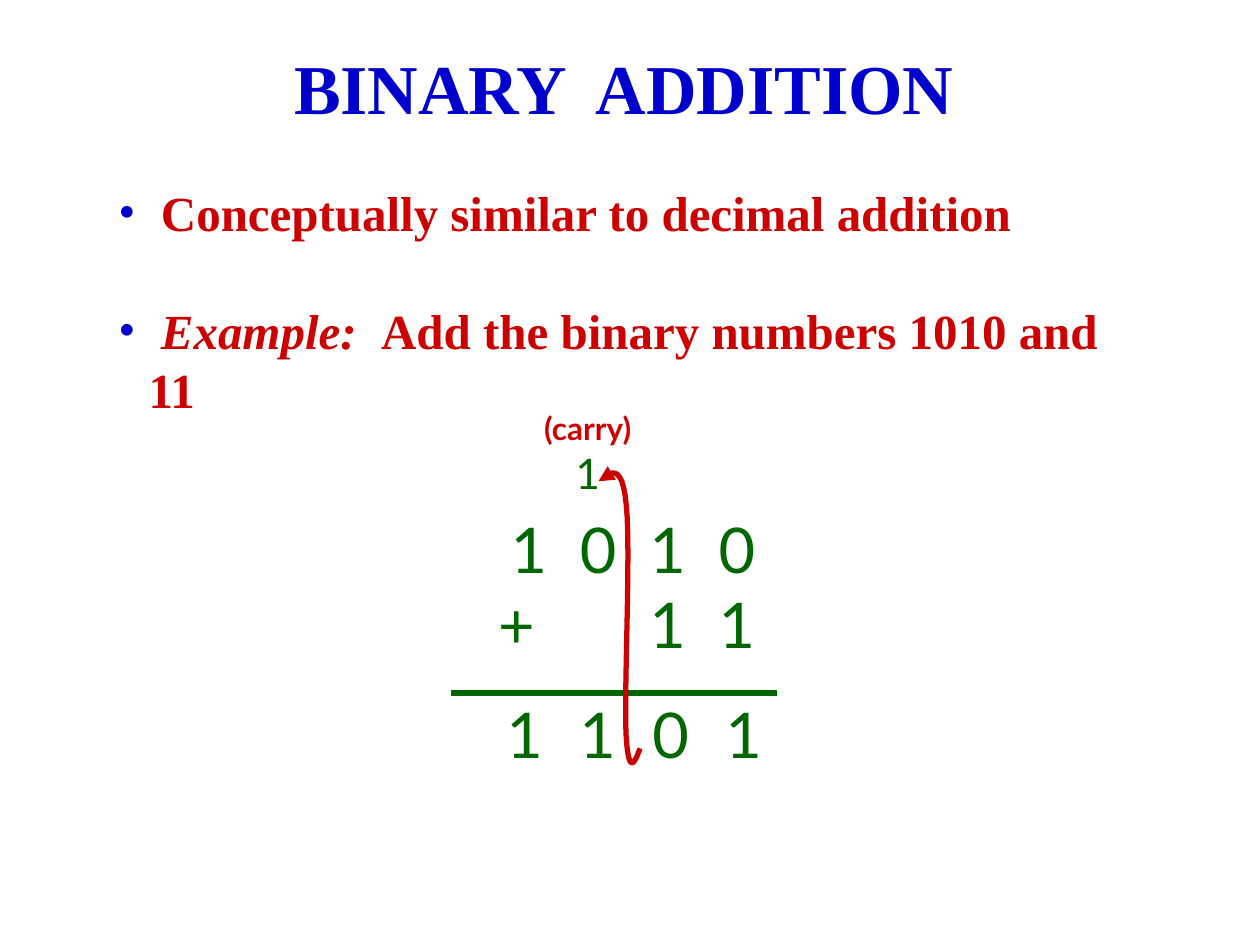
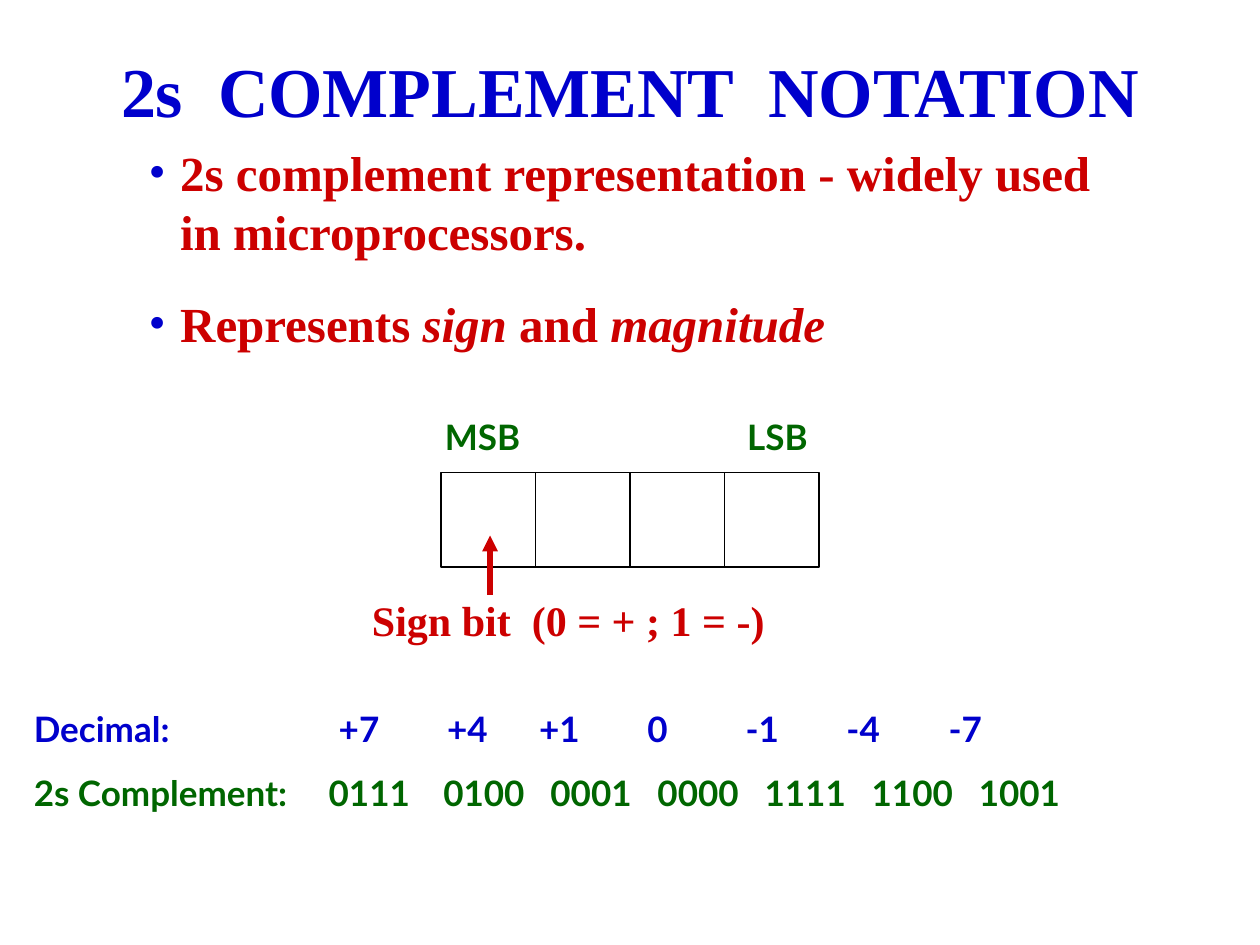
from dataclasses import dataclass

from lxml.etree import SubElement
from pptx import Presentation
from pptx.dml.color import RGBColor
from pptx.enum.shapes import MSO_CONNECTOR as Connector, MSO_SHAPE as Shape
from pptx.enum.text import MSO_ANCHOR as Anchor, MSO_AUTO_SIZE as AutoSize, PP_ALIGN as Align
from pptx.oxml.ns import qn
from pptx.util import Inches, Pt


@dataclass(frozen=True)
class Theme:
    blue: str = "0000CC"
    red: str = "CC0000"
    green: str = "006600"
    black: str = "000000"
    serif: str = "Times New Roman"
    sans: str = "Lato"
    title: int = 40
    digits: int = 36
    body: int = 28
    note: int = 24
    label: int = 20
    caption: int = 18
    body_line: float = 33.6
    thick: float = 3


THEME = Theme()
TITLE = dict(size=THEME.title, name=THEME.serif, color=THEME.blue, bold=True)
BODY = dict(size=THEME.body, name=THEME.serif, color=THEME.red, bold=True)
BODY_ITALIC = dict(BODY, italic=True)
DIGITS = dict(size=THEME.digits, name=THEME.sans, color=THEME.green, bold=False)
CARRY = dict(DIGITS, size=THEME.note)
CAPTION = dict(size=THEME.caption, name=THEME.sans, color=THEME.red, bold=True)
LABEL = dict(size=THEME.label, name=THEME.sans, color=THEME.green, bold=True)
DECIMAL = dict(LABEL, color=THEME.blue)
NOTE = dict(BODY, size=THEME.note)


def set_attributes(target, **values):
    for name, value in values.items():
        setattr(target, name, value)


def add_run(paragraph, text, style):
    run = paragraph.add_run()
    run.text = text
    values = dict(style, size=Pt(style["size"]))
    run.font.color.rgb = RGBColor.from_string(values.pop("color"))
    set_attributes(run.font, **values)


def fill_text(shape, box, paragraphs, **paragraph_format):
    """Place a text shape and write paragraphs, each a list of (text, style) runs."""
    left, top, width, height = map(Inches, box)
    set_attributes(shape, left=left, top=top, width=width, height=height)
    frame = shape.text_frame
    set_attributes(frame, word_wrap=True, auto_size=AutoSize.NONE, vertical_anchor=Anchor.TOP)
    for index, runs in enumerate(paragraphs):
        paragraph = frame.add_paragraph() if index else frame.paragraphs[0]
        set_attributes(paragraph, **paragraph_format)
        for text, style in runs:
            add_run(paragraph, text, style)
    return frame.paragraphs


def add_text(slide, box, paragraphs, alignment=Align.CENTER):
    shape = slide.shapes.add_textbox(0, 0, 0, 0)
    return fill_text(shape, box, paragraphs, alignment=alignment)


def add_title(slide, box, text):
    fill_text(slide.shapes.title, box, [[(text, TITLE)]], alignment=Align.CENTER)


def add_bullets(slide, box, paragraphs, indent, gap):
    bullets = fill_text(
        slide.placeholders[1], box, paragraphs, alignment=Align.LEFT,
        line_spacing=Pt(THEME.body_line), space_before=Pt(0), space_after=Pt(gap))
    for paragraph in bullets:
        properties = paragraph._p.get_or_add_pPr()
        properties.set("marL", str(Inches(indent)))
        properties.set("indent", str(-Inches(indent)))
        color = SubElement(properties, qn("a:buClr"))
        SubElement(color, qn("a:srgbClr"), val=THEME.blue)
        SubElement(properties, qn("a:buFont"), typeface=THEME.serif)
        SubElement(properties, qn("a:buChar"), char="•")


def set_tabs(paragraph, positions, alignment):
    tabs = SubElement(paragraph._p.get_or_add_pPr(), qn("a:tabLst"))
    for position in positions:
        SubElement(tabs, qn("a:tab"), pos=str(Inches(position)), algn=alignment)


def style_line(shape, color, width, arrow=False):
    shape.line.color.rgb = RGBColor.from_string(color)
    shape.line.width = Pt(width)
    if arrow:
        SubElement(shape._element.spPr.find(qn("a:ln")), qn("a:tailEnd"), type="triangle")


def add_line(slide, start, end, color, width, arrow=False):
    points = map(Inches, (*start, *end))
    connector = slide.shapes.add_connector(Connector.STRAIGHT, *points)
    style_line(connector, color, width, arrow)
    SubElement(connector._element.spPr, qn("a:effectLst"))


def bezier_points(start, control_1, control_2, end, steps=12):
    for step in range(1, steps + 1):
        t = step / steps
        weights = ((1 - t) ** 3, 3 * t * (1 - t) ** 2, 3 * t * t * (1 - t), t ** 3)
        corners = (start, control_1, control_2, end)
        yield tuple(
            Inches(sum(weight * corner[axis] for weight, corner in zip(weights, corners)))
            for axis in (0, 1))


def add_curved_arrow(slide, start, curves):
    """Draw joined Bezier curves, each given as two controls and an end point."""
    builder = slide.shapes.build_freeform(*map(Inches, start))
    for curve in curves:
        builder.add_line_segments(bezier_points(start, *curve), close=False)
        start = curve[-1]
    arrow = builder.convert_to_shape()
    arrow.shadow.inherit = False
    arrow.fill.background()
    style_line(arrow, THEME.red, THEME.thick, arrow=True)


def add_bit_cells(slide, left, top, size, count):
    box = map(Inches, (left, top, size * count, size))
    frame = slide.shapes.add_shape(Shape.RECTANGLE, *box)
    frame.shadow.inherit = False
    frame.fill.background()
    style_line(frame, THEME.black, 1)
    for index in range(1, count):
        x = left + index * size
        add_line(slide, (x, top + size), (x, top), THEME.black, 0.75)


def build_addition(slide):
    add_title(slide, (2.2, 0.3, 5.5, 0.77), "BINARY  ADDITION")
    add_bullets(slide, (0.84, 1.4, 8.35, 1.95), [
        [(" Conceptually similar to decimal addition", BODY)],
        [(" Example:  ", BODY_ITALIC), ("Add the binary numbers 1010 and 11", BODY)],
    ], indent=0.24, gap=THEME.body_line)

    columns = [0.77 + 0.55 * index for index in range(4)]
    augend, addend = add_text(slide, (3.33, 4, 3, 1.3), [
        [("\t1\t0\t1\t0", DIGITS)], [("\t+\t1\t1", DIGITS)]], Align.LEFT)
    set_tabs(augend, columns, "ctr")
    set_tabs(addend, [0.67, *columns[2:]], "ctr")
    add_text(slide, (4.08, 3.2, 1.17, 0.8), [[("(carry)", CAPTION)], [("1", CARRY)]])
    add_line(slide, (3.58, 5.5), (6.17, 5.5), THEME.green, THEME.thick)
    for index, digit in enumerate("1101"):
        box = (3.92 + 0.58 * index, 5.47, 0.33, 0.7)
        add_text(slide, box, [[(digit, DIGITS)]], Align.LEFT)
    add_curved_arrow(slide, (5.08, 5.94), [
        ((5.04, 6.05), (4.99, 6.17), (4.97, 5.84)),
        ((4.95, 5.52), (5.01, 4.34), (4.97, 4)),
        ((4.94, 3.67), (4.84, 3.74), (4.75, 3.82)),
    ])


def build_complement(slide):
    add_title(slide, (0, 0.33, 10, 0.77), "2s  COMPLEMENT  NOTATION")
    add_bullets(slide, (1.08, 1.08, 7.92, 1.77), [
        [("2s complement representation - widely used in microprocessors.", BODY)],
        [("Represents ", BODY), ("sign", BODY_ITALIC),
         (" and ", BODY), ("magnitude", BODY_ITALIC)],
    ], indent=0.25, gap=19.2)

    add_bit_cells(slide, 3.5, 3.75, 0.75, 4)
    for left, name in ((3.33, "MSB"), (5.67, "LSB")):
        add_text(slide, (left, 3.25, 1, 0.44), [[(name, LABEL)]])
    add_text(slide, (2.72, 4.67, 3.58, 0.5), [[("Sign bit  (0 = + ; 1 = -)", NOTE)]])
    add_line(slide, (3.89, 4.72), (3.89, 4.25), THEME.red, THEME.thick, arrow=True)

    decimals = ("Decimal:", "+7", "+4", "+1", "0", "-1", "-4", "-7")
    codes = ("2s Complement:", "0111", "0100", "0001", "0000", "1111", "1100", "1001")
    decimal_row, code_row = add_text(slide, (0.17, 5.6, 9.83, 0.91), [
        [("\t".join(decimals), DECIMAL)], [("\t".join(codes), LABEL)]], Align.LEFT)
    set_attributes(decimal_row, line_spacing=0.9, space_after=Pt(12.5))
    set_tabs(decimal_row, (2.42, 3.28, 4.01, 4.87, 5.65, 6.45, 7.26), "l")
    set_tabs(code_row, [2.34] + [3.25 + 0.85 * index for index in range(6)], "l")


def main():
    presentation = Presentation()
    set_attributes(presentation, slide_width=Inches(10), slide_height=Inches(7.5))
    for build in (build_addition, build_complement):
        build(presentation.slides.add_slide(presentation.slide_layouts[1]))
    presentation.save("out.pptx")


if __name__ == "__main__":
    main()
